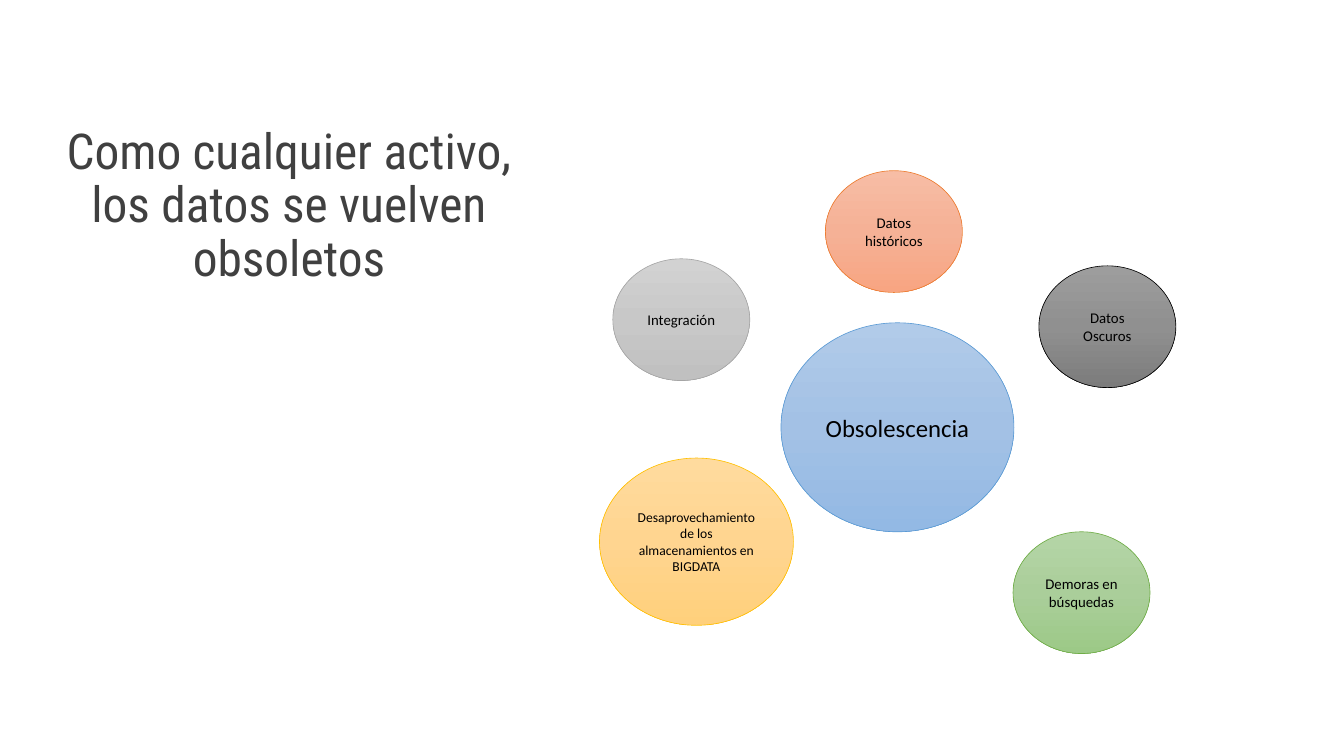
from copy import deepcopy

from pptx import Presentation
from pptx.dml.color import RGBColor
from pptx.enum import shapes, text
from pptx.oxml import ns
from pptx.util import Pt

BLACK = RGBColor(0, 0, 0)
DARK = RGBColor(0x40, 0x40, 0x40)

# Each scheme: top, middle and bottom of the gradient, then the outline
BLUE, GOLD, GREEN, GRAY, CORAL, COAL = [
    [RGBColor.from_string(code) for code in row.split()] for row in (
        "B1CBE9 A3C1E5 93B9E4 5B9BD5",
        "FFDB9E FFD590 FFD07C FFC000",
        "B5D5A7 AACE9A 9CC987 70AD47",
        "D2D2D2 C8C8C8 C0C0C0 A5A5A5",
        "F7BDA5 F5B196 F8A582 ED7D31",
        "9D9D9D 909090 7C7C7C 000000",
    )]

SMALL = (110.9, 98.6)

# Label, offset in the diagram, size, text size, scheme
BALLS = [
    ("Obsolescencia", (146.9, 123.1), (188.6, 169.2), 20, BLUE),
    ("Desaprovechamiento de los almacenamientos en BIGDATA",
     (0, 232.6), (157, 135.4), 11, GOLD),
    ("Demoras en búsquedas", (334.8, 292.3), SMALL, 12, GREEN),
    ("Integración", (10.8, 71.3), SMALL, 12, GRAY),
    ("Datos históricos", (182.9, 0), SMALL, 12, CORAL),
    ("Datos Oscuros", (355.7, 77), SMALL, 12, COAL),
]


def write(shape, words, size, font, color):
    """Fill a shape with one centred paragraph."""
    frame = shape.text_frame
    frame.word_wrap = True
    frame.vertical_anchor = text.MSO_ANCHOR.MIDDLE
    para = frame.paragraphs[0]
    para.alignment = text.PP_ALIGN.CENTER
    run = para.add_run()
    run.text = words
    run.font.size = Pt(size)
    run.font.name = font
    run.font.color.rgb = color
    return para


def shade(ball, tones):
    """Give a shape a three-stop gradient from top to bottom."""
    fill = ball.fill
    fill.gradient()
    fill.gradient_angle = 270
    first = ball._element.spPr.find(".//" + ns.qn("a:gs"))
    first.addnext(deepcopy(first))
    for stop, tone, place in zip(fill.gradient_stops, tones, (0, 0.5, 1)):
        stop.color.rgb = tone
        stop.position = place


def title(slide, left, top, width, height):
    box = slide.shapes.add_textbox(Pt(left), Pt(top), Pt(width), Pt(height))
    para = write(box, "Como cualquier activo, los datos se vuelven obsoletos",
                 40, "Roboto Condensed", DARK)
    para.line_spacing = 0.9


def diagram(slide, left, top):
    for label, (dx, dy), (width, height), size, (*tones, edge) in BALLS:
        ball = slide.shapes.add_shape(
            shapes.MSO_SHAPE.OVAL,
            Pt(left + dx), Pt(top + dy), Pt(width), Pt(height))
        ball.shadow.inherit = False
        shade(ball, tones)
        ball.line.color.rgb = edge
        ball.line.width = Pt(0.5)
        write(ball, label, size, "Calibri", BLACK)


def main():
    deck = Presentation()
    deck.slide_width, deck.slide_height = Pt(1088), Pt(612)
    slide = deck.slides.add_slide(deck.slide_layouts[6])
    # Circles on the right, heading on the left
    diagram(slide, 485.3, 138.2)
    title(slide, 33.8, 76.3, 400.3, 182.2)
    deck.save("out.pptx")


if __name__ == "__main__":
    main()
